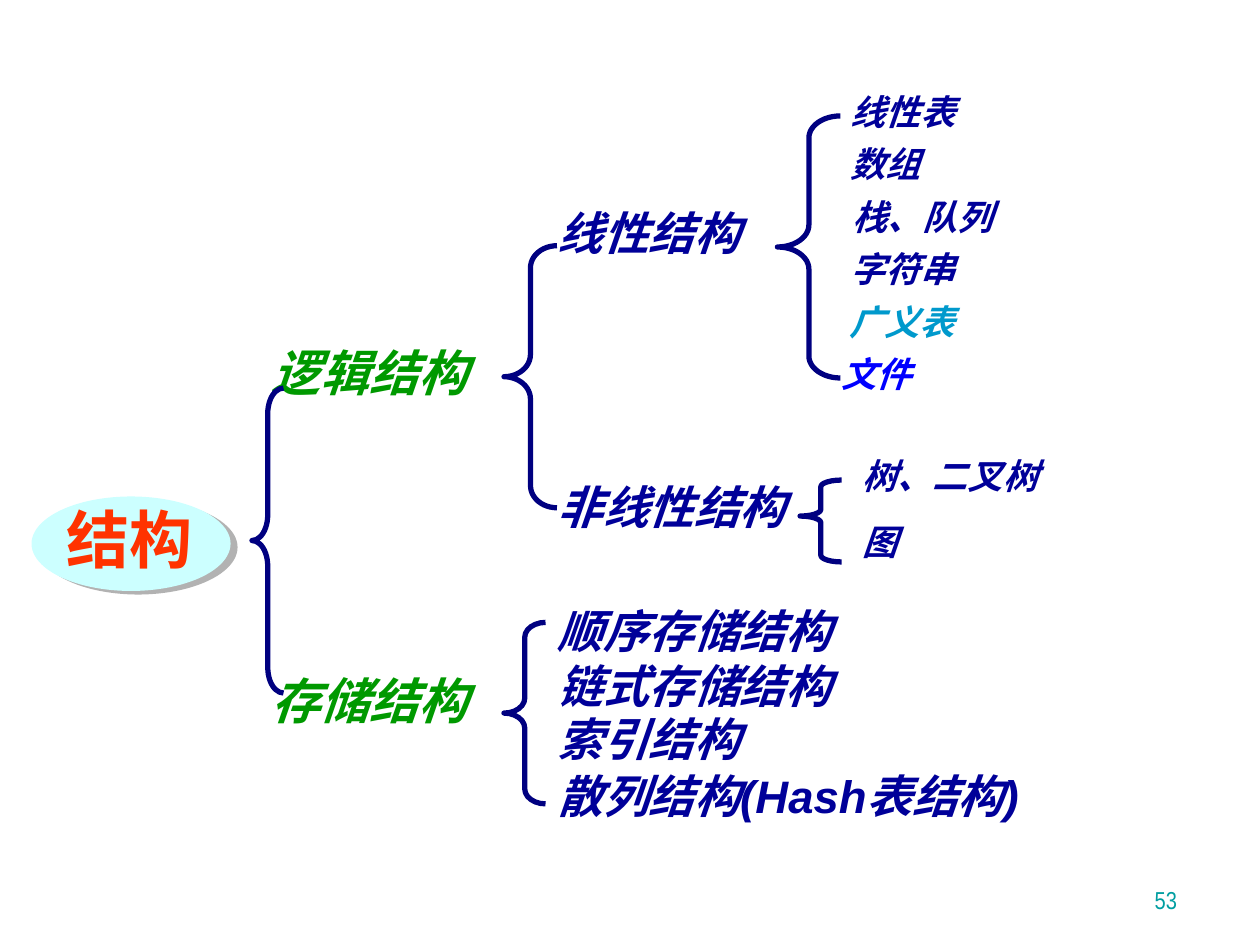
from lxml import etree
from pptx import Presentation
from pptx.dml.color import RGBColor
from pptx.enum.shapes import MSO_SHAPE as Shape
from pptx.enum.text import MSO_ANCHOR as Anchor, PP_ALIGN as Align
from pptx.oxml.ns import qn
from pptx.util import Inches, Pt

NAVY, GREEN, DARK = "000099", "009900", "000080"


def color(value):
    """Turn a hex string into a colour."""
    return RGBColor.from_string(value)


def make_shadow(value, distance, degrees):
    """Return an effect list with one hard outer shadow."""
    effects = etree.Element(qn("a:effectLst"))
    outer = etree.SubElement(effects, qn("a:outerShdw"), blurRad="0", dist=str(Pt(distance)),
                             dir=str(degrees * 60000), algn="ctr", rotWithShape="0")
    etree.SubElement(outer, qn("a:srgbClr"), val=value)
    return effects


def add_text(page, text, left, top, width, height, size=20, fill=NAVY, font="Arial",
             bold=True, italic=True, align=Align.LEFT, anchor=Anchor.TOP, shadow=None):
    """Add a one-line text box."""
    box = page.shapes.add_textbox(Inches(left), Inches(top), Inches(width), Inches(height))
    frame = box.text_frame
    frame.word_wrap = True
    frame.vertical_anchor = anchor
    para = frame.paragraphs[0]
    para.alignment = align
    span = para.add_run()
    span.text = text
    span.font.size = Pt(size)
    span.font.bold = bold
    span.font.italic = italic
    span.font.name = font
    span.font.color.rgb = color(fill)
    if shadow:
        solid = span.font._element.find(qn("a:solidFill"))
        solid.addnext(make_shadow(shadow, 2, 45))


def add_brace(page, left, top, width, height, curve, tip=0.5):
    """Add a left brace that opens onto a list of branches."""
    brace = page.shapes.add_shape(Shape.LEFT_BRACE, Inches(left), Inches(top),
                                  Inches(width), Inches(height))
    brace.adjustments[0] = curve
    brace.adjustments[1] = tip
    brace.shadow.inherit = False
    brace.fill.background()
    brace.line.color.rgb = color(DARK)
    brace.line.width = Pt(3)


def add_root(page):
    """Add the shaded ellipse and its label."""
    ellipse = page.shapes.add_shape(Shape.OVAL, Inches(0.25), Inches(3.94),
                                    Inches(1.58), Inches(0.75))
    ellipse.fill.solid()
    ellipse.fill.fore_color.rgb = color("CCFFFF")
    ellipse.line.fill.background()
    ellipse._element.spPr.append(make_shadow("B2B2B2", 4.5, 27))
    add_text(page, "结构", 0.43, 3.92, 1.42, 0.7, size=36, fill="FF3300",
             italic=False, shadow="000000")


def main():
    """Build the tree of data structures."""
    deck = Presentation()
    deck.slide_width, deck.slide_height = Inches(10), Inches(7.5)
    page = deck.slides.add_slide(deck.slide_layouts[6])

    for text, top in (("逻辑结构", 2.67), ("存储结构", 5.27)):
        add_text(page, text, 2.06, top, 2.02, 0.57, size=28, fill=GREEN, shadow="808080")
    for text, top, width in (("线性结构", 1.58, 1.92), ("非线性结构", 3.75, 2.33)):
        add_text(page, text, 4.33, top, width, 0.53, size=26, shadow="808080")

    linear = (("线性表", 6.65, NAVY, None), ("数组", 6.65, NAVY, None),
              ("栈、队列", 6.67, NAVY, None), ("字符串", 6.65, NAVY, "808080"),
              ("广义表", 6.64, "0099CC", None), ("文件", 6.58, "0000FF", None))
    for row, (text, left, fill, shadow) in enumerate(linear):
        add_text(page, text, left, 0.67 + row * 0.416, 2, 0.5, fill=fill, shadow=shadow)
    for text, top in (("树、二叉树", 3.56), ("图", 4.08)):
        add_text(page, text, 6.75, top, 2.5, 0.5)

    storage = (("顺序存储结构", 4.74), ("链式存储结构", 5.17),
               ("索引结构", 5.59), ("散列结构(Hash表结构)", 6.05))
    for text, top in storage:
        add_text(page, text, 4.33, top, 4.17, 0.53, size=26)

    add_brace(page, 2, 3.08, 0.25, 2.42, 0.81)
    add_brace(page, 4, 1.95, 0.42, 2.08, 0.42)
    add_brace(page, 6.17, 0.92, 0.5, 2.08, 0.35)
    add_brace(page, 6.35, 3.81, 0.33, 0.65, 0.16, tip=0.44)
    add_brace(page, 4, 4.94, 0.33, 1.44, 0.36)

    add_root(page)
    add_text(page, "53", 7.36, 6.81, 2.08, 0.5, size=14, fill="009EA1", font="Arial Narrow",
             bold=False, italic=False, align=Align.RIGHT, anchor=Anchor.BOTTOM)
    deck.save("out.pptx")


if __name__ == "__main__":
    main()
